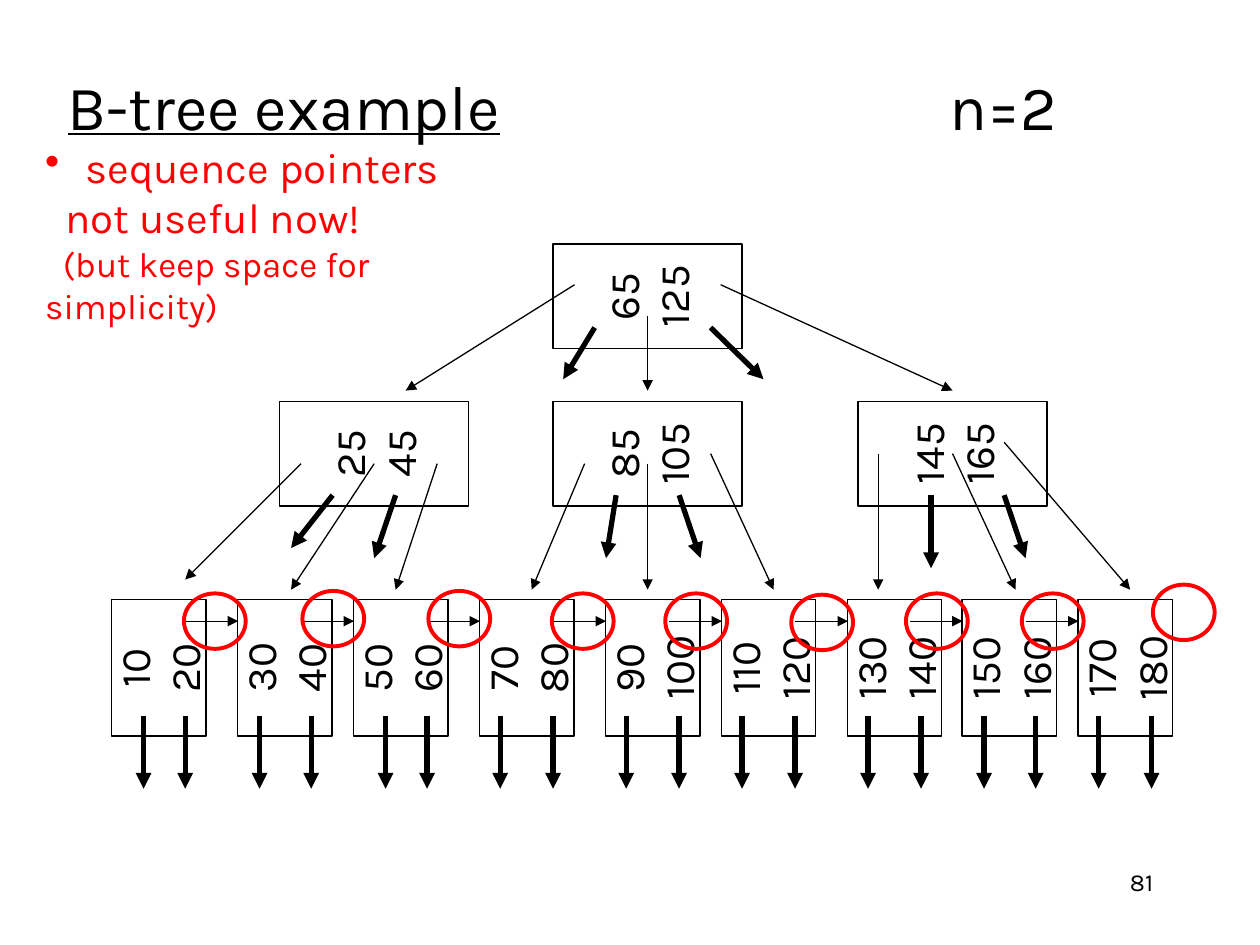
from lxml.etree import SubElement as Sub
from pptx import Presentation as Deck
from pptx.dml.color import RGBColor as Color
from pptx.enum.shapes import MSO_CONNECTOR as Conn, MSO_SHAPE as Shape
from pptx.enum.text import MSO_ANCHOR as Anchor, PP_ALIGN as Align
from pptx.oxml.ns import qn
from pptx.util import Inches, Pt

BLACK, RED, WHITE = "000000", "FF0000", "FFFFFF"
THIN, THICK = 0.75, 3
LEAVES = [1.26, 2.26, 3.18, 4.18, 5.18, 6.1, 7.1, 8.01, 8.93]
NODES = [
    (5.14, 2.35, 65, 125),
    (2.97, 3.6, 25, 45),
    (5.14, 3.6, 85, 105),
    (7.56, 3.6, 145, 165),
]
CHILD = [
    (4.56, 2.26, 3.22, 3.1), (5.14, 2.51, 5.14, 3.1), (5.72, 2.26, 7.56, 3.1),
    (2.39, 3.68, 1.47, 4.6), (2.97, 3.68, 2.31, 4.68), (3.47, 3.68, 3.14, 4.68),
    (4.64, 3.68, 4.22, 4.68), (5.14, 3.68, 5.14, 4.68), (5.64, 3.6, 6.14, 4.68),
    (6.97, 3.6, 6.97, 4.68), (7.56, 3.6, 8.06, 4.68), (7.97, 3.51, 8.97, 4.68),
]
DATA = [
    (4.72, 2.6, 4.47, 3.01), (5.64, 2.6, 6.06, 3.01),
    (2.64, 3.93, 2.31, 4.35), (3.14, 3.93, 2.97, 4.43),
    (4.89, 3.93, 4.81, 4.43), (5.39, 3.93, 5.56, 4.43),
    (7.39, 3.93, 7.39, 4.51), (7.97, 3.93, 8.14, 4.43),
]
DROPS = [
    1.14, 1.47, 2.06, 2.47, 3.06, 3.39, 3.97, 4.39, 4.97,
    5.39, 5.89, 6.31, 6.89, 7.31, 7.81, 8.22, 8.72, 9.14,
]
NEXT = [1.47, 2.39, 3.39, 4.39, 5.31, 6.31, 7.22, 8.14]
RINGS = [
    (1.46, 4.71), (2.4, 4.69), (3.4, 4.69), (4.38, 4.71), (5.28, 4.71),
    (6.28, 4.72), (7.19, 4.71), (8.11, 4.71), (9.15, 4.64),
]


def tint(code):
    """Turn a hex string into a colour."""
    return Color.from_string(code)


def style(font, size, code=BLACK):
    """Set face, size and colour of a font."""
    font.name, font.size = "Karla", Pt(size)
    font.color.rgb = tint(code)


def text(slide, x, y, w, h, anchor=Anchor.MIDDLE):
    """Add a wrapping text box and return its frame."""
    frame = slide.shapes.add_textbox(*map(Inches, (x, y, w, h))).text_frame
    frame.word_wrap, frame.vertical_anchor = True, anchor
    return frame


def node(slide, x, y, w, h, keys):
    """Add a tree node centred on x, y, with its keys turned sideways."""
    box = slide.shapes.add_shape(
        Shape.RECTANGLE, *map(Inches, (x - h / 2, y - w / 2, h, w)))
    box.rotation = 270
    box.shadow.inherit = False
    box.fill.solid()
    box.fill.fore_color.rgb = tint(WHITE)
    box.line.color.rgb, box.line.width = tint(BLACK), Pt(THIN)
    frame = box.text_frame
    frame.word_wrap, frame.vertical_anchor = False, Anchor.MIDDLE
    frame.text = "\n".join(map(str, keys))
    for para in frame.paragraphs:
        para.alignment = Align.CENTER
        style(para.font, 24)


def arrow(slide, ends, width):
    """Add a straight arrow given both ends."""
    line = slide.shapes.add_connector(Conn.STRAIGHT, *map(Inches, ends))
    line.line.color.rgb, line.line.width = tint(BLACK), Pt(width)
    Sub(line.line._get_or_add_ln(), qn("a:tailEnd"), type="triangle")
    Sub(line._element.spPr, qn("a:effectLst"))


def ring(slide, x, y):
    """Add a red ring around a sequence pointer."""
    oval = slide.shapes.add_shape(
        Shape.OVAL, *map(Inches, (x, y, 0.49, 0.44)))
    oval.shadow.inherit = False
    oval.fill.background()
    oval.line.color.rgb, oval.line.width = tint(RED), Pt(2.25)


def title(slide):
    """Add the underlined title with the order at a tab stop."""
    para = text(slide, 0.44, 0.21, 8.5, 1.25).paragraphs[0]
    tabs = Sub(para._p.get_or_add_pPr(), qn("a:tabLst"))
    Sub(tabs, qn("a:tab"), pos=str(Inches(7)), algn="l")
    style(para.font, 36)
    name, order = para.add_run(), para.add_run()
    name.text, order.text = "B-tree example", "\tn=2"
    name.font.underline = True


def note(slide):
    """Add the red remark on sequence pointers."""
    rows = [
        ("sequence pointers", 24, 0.32, -0.32),
        ("not useful now!", 24, 0.16, 0),
        ("(but keep space for simplicity)", 20, 0, 0.14),
    ]
    frame = text(slide, 0.26, 1.24, 4.08, 1.23)
    frame.text = "\n".join(row[0] for row in rows)
    for para, (_, size, left, first) in zip(frame.paragraphs, rows):
        props = para._p.get_or_add_pPr()
        props.set("marL", str(Inches(left)))
        props.set("indent", str(Inches(first)))
        if first < 0:
            Sub(props, qn("a:buChar"), char="•")
        style(para.font, size, RED)


def number(slide):
    """Add the slide number."""
    para = text(slide, 7.17, 6.83, 2.08, 0.5, Anchor.TOP).paragraphs[0]
    para.text, para.alignment = "81", Align.RIGHT
    style(para.font, 14)


def main():
    """Build and save the slide."""
    deck = Deck()
    deck.slide_width, deck.slide_height = Inches(10), Inches(7.5)
    slide = deck.slides.add_slide(deck.slide_layouts[6])
    number(slide)
    title(slide)
    for x, y, *keys in NODES:
        node(slide, x, y, 1.5, 0.83, keys)
    for i, x in enumerate(LEAVES):
        node(slide, x, 5.3, 0.75, 1.08, (20 * i + 10, 20 * i + 20))
    for ends in CHILD:
        arrow(slide, ends, THIN)
    for ends in DATA:
        arrow(slide, ends, THICK)
    for x in DROPS:
        arrow(slide, (x, 5.68, x, 6.26), THICK)
    for x in NEXT:
        arrow(slide, (x, 4.93, x + 0.42, 4.93), THIN)
    for x, y in RINGS:
        ring(slide, x, y)
    note(slide)
    deck.save("out.pptx")


if __name__ == "__main__":
    main()
